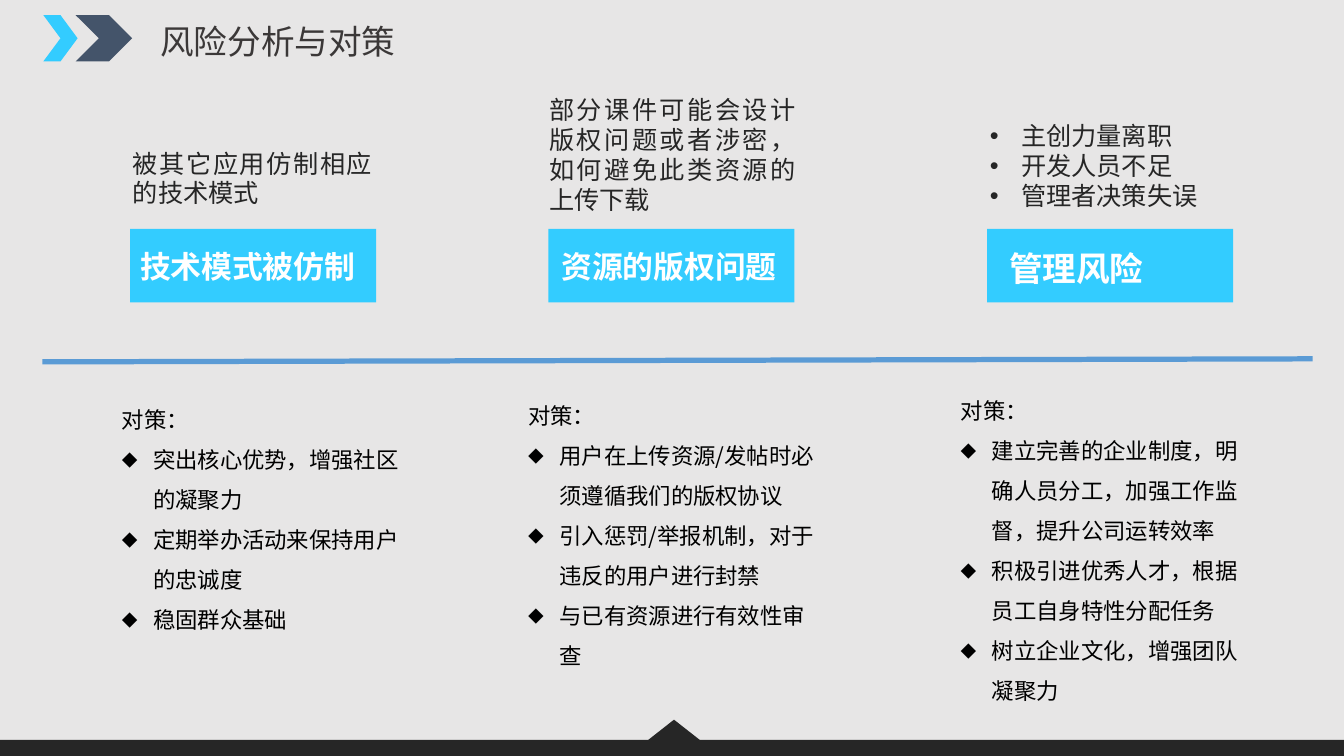
"""Build the risk analysis and countermeasures slide."""
from lxml import etree
from pptx import Presentation
from pptx.dml.color import RGBColor
from pptx.enum.shapes import MSO_CONNECTOR, MSO_SHAPE
from pptx.enum.text import MSO_ANCHOR, MSO_AUTO_SIZE, PP_ALIGN
from pptx.oxml.ns import qn
from pptx.util import Inches, Pt

STRAIGHT = MSO_CONNECTOR.STRAIGHT
CHEVRON, RECTANGLE = MSO_SHAPE.CHEVRON, MSO_SHAPE.RECTANGLE
TRIANGLE = MSO_SHAPE.ISOSCELES_TRIANGLE
TOP, NO_RESIZE = MSO_ANCHOR.TOP, MSO_AUTO_SIZE.NONE
LEFT, JUSTIFY = PP_ALIGN.LEFT, PP_ALIGN.JUSTIFY

BACKGROUND = RGBColor(0xE7, 0xE6, 0xE6)
CYAN = RGBColor(0x33, 0xCC, 0xFF)
SLATE = RGBColor(0x44, 0x54, 0x6A)
DARK = RGBColor(0x26, 0x26, 0x26)
TITLE_GREY = RGBColor(0x3B, 0x38, 0x38)
BLUE = RGBColor(0x5B, 0x9B, 0xD5)
WHITE = RGBColor(0xFF, 0xFF, 0xFF)
BLACK = RGBColor(0x00, 0x00, 0x00)
LATIN, CHINESE = "Calibri", "Noto Sans CJK SC"
WIDTH, HEIGHT = 13.33, 7.5
LINE_FACTOR = 1.19
INDENT = Inches(0.31)

deck = Presentation()
deck.slide_width, deck.slide_height = Inches(WIDTH), Inches(HEIGHT)
page = deck.slides.add_slide(deck.slide_layouts[5])
page.background.fill.solid()
page.background.fill.fore_color.rgb = BACKGROUND


def add_block(kind, place, color):
    block = page.shapes.add_shape(kind, *map(Inches, place))
    block.shadow.inherit = False
    block.fill.solid()
    block.fill.fore_color.rgb = color
    block.line.fill.background()


def write(box, place, lines, size, color, font=CHINESE, bold=False,
          align=LEFT, spacing=1, bullet=None, first_bullet=0):
    box.left, box.top, box.width, box.height = map(Inches, place)
    frame = box.text_frame
    frame.text = "\n".join(lines)
    frame.word_wrap, frame.auto_size = True, NO_RESIZE
    frame.vertical_anchor = TOP
    for index, para in enumerate(frame.paragraphs):
        para.alignment = align
        para.space_before = Pt(0)
        para.line_spacing = Pt(round(size * LINE_FACTOR * spacing, 1))
        if bullet and index >= first_bullet:
            properties = para._p.get_or_add_pPr()
            properties.set("marL", str(INDENT))
            properties.set("indent", str(-INDENT))
            if bullet == "◆":
                etree.SubElement(properties, qn("a:buSzPct")).set("val", "70000")
            etree.SubElement(properties, qn("a:buFont")).set("typeface", CHINESE if bullet == "◆" else "Arial")
            etree.SubElement(properties, qn("a:buChar")).set("char", bullet)
        for span in para.runs:
            span.font.name, span.font.size = font, Pt(size)
            span.font.bold, span.font.color.rgb = bold, color
            east_asian = etree.SubElement(span.font._element, qn("a:ea"))
            east_asian.set("typeface", CHINESE)


add_block(CHEVRON, (0.43, 0.15, 0.34, 0.46), CYAN)
add_block(CHEVRON, (0.75, 0.15, 0.56, 0.46), SLATE)
write(page.shapes.title, (1.49, 0.16, 3.64, 0.5), ["风险分析与对策"],
      24, TITLE_GREY, LATIN)

add_block(RECTANGLE, (0, HEIGHT - 0.16, WIDTH, 0.16), DARK)
add_block(TRIANGLE, (6.43, 7.14, 0.51, 0.2), DARK)

risks = [
    {"card": 1.29,
     "heading": ("技术模式被仿制", 1.29, 22),
     "cause": (["被其它应用仿制相应的技术模式"], (1.22, 1.42, 2.57, 1.01), CHINESE, None),
     "plan": ((1.11, 3.85, 3.15, 2.57),
              ["突出核心优势，增强社区的凝聚力",
               "定期举办活动来保持用户的忠诚度",
               "稳固群众基础"])},
    {"card": 5.44,
     "heading": ("资源的版权问题", 5.47, 22),
     "cause": (["部分课件可能会设计版权问题或者涉密，如何避免此类资源的上传下载"],
               (5.35, 0.89, 2.64, 1.31), LATIN, None),
     "plan": ((5.14, 3.81, 3.15, 2.93),
              ["用户在上传资源/发帖时必须遵循我们的版权协议",
               "引入惩罚/举报机制，对于违反的用户进行封禁",
               "与已有资源进行有效性审查"])},
    {"card": 9.79,
     "heading": ("管理风险", 9.91, 24),
     "cause": (["主创力量离职", "开发人员不足", "管理者决策失误"],
               (9.72, 1.15, 2.57, 1.01), LATIN, "•"),
     "plan": ((9.43, 3.76, 3.15, 3.33),
              ["建立完善的企业制度，明确人员分工，加强工作监督，提升公司运转效率",
               "积极引进优秀人才，根据员工自身特性分配任务",
               "树立企业文化，增强团队凝聚力"])},
]

for risk in risks:
    add_block(RECTANGLE, (risk["card"], 2.27, 2.44, 0.73), CYAN)
    heading, heading_left, heading_size = risk["heading"]
    cause, cause_place, cause_font, cause_bullet = risk["cause"]
    plan_place, actions = risk["plan"]
    heading_box, cause_box, plan_box = (
        page.shapes.add_textbox(0, 0, 0, 0) for part in range(3))
    write(heading_box, (heading_left, 2.41, 2.69, 0.5), [heading],
          heading_size, WHITE, bold=True)
    write(cause_box, cause_place, cause, 18, DARK, cause_font,
          align=JUSTIFY, bullet=cause_bullet)
    write(plan_box, plan_place, ["对策：", *actions], 16, BLACK,
          spacing=1.5, bullet="◆", first_bullet=1)

divider = page.shapes.add_connector(
    STRAIGHT, *map(Inches, (0.42, 3.59, 13.02, 3.56)))
divider.line.color.rgb, divider.line.width = BLUE, Pt(3.75)
etree.SubElement(divider._element.spPr, qn("a:effectLst"))

deck.save("out.pptx")
